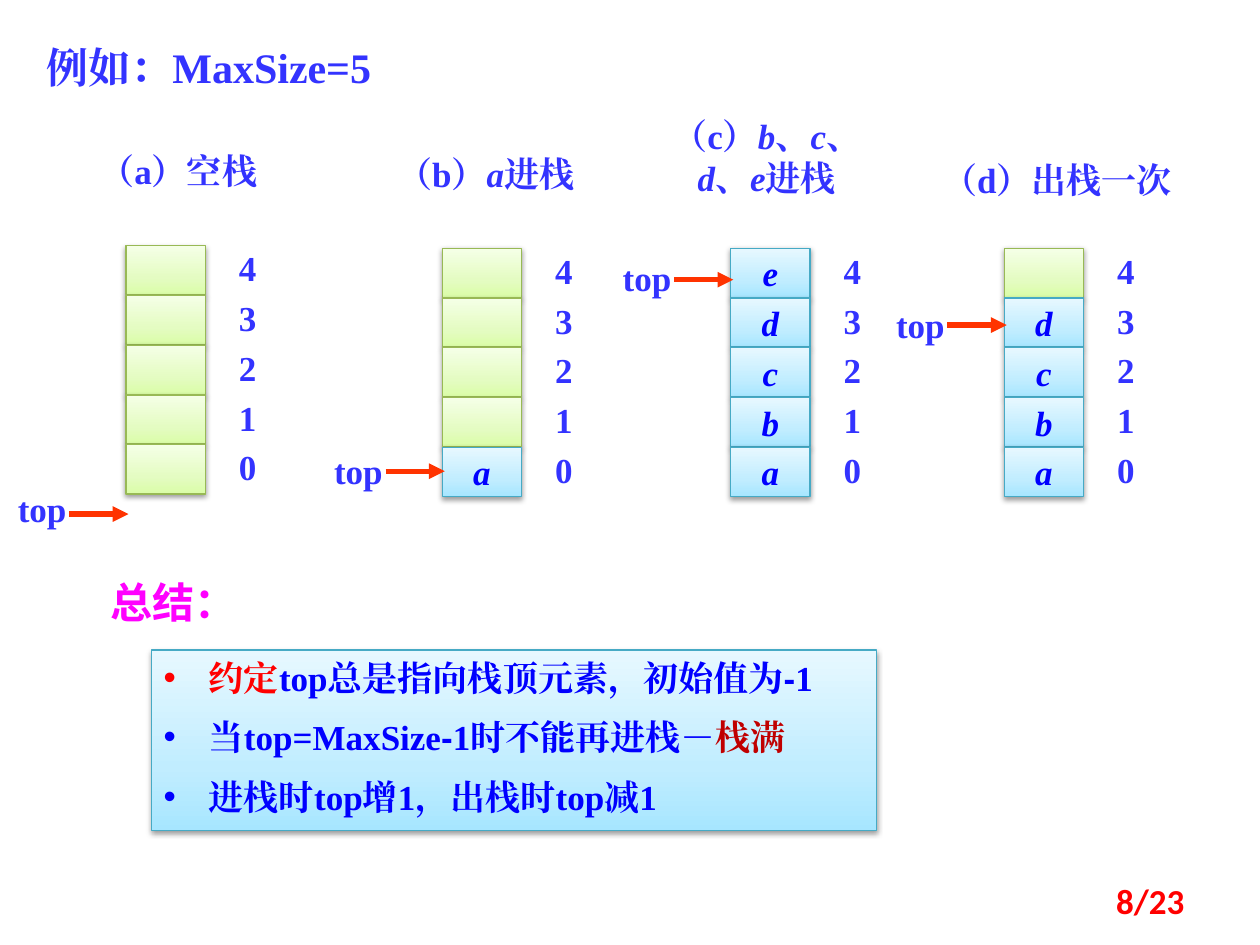
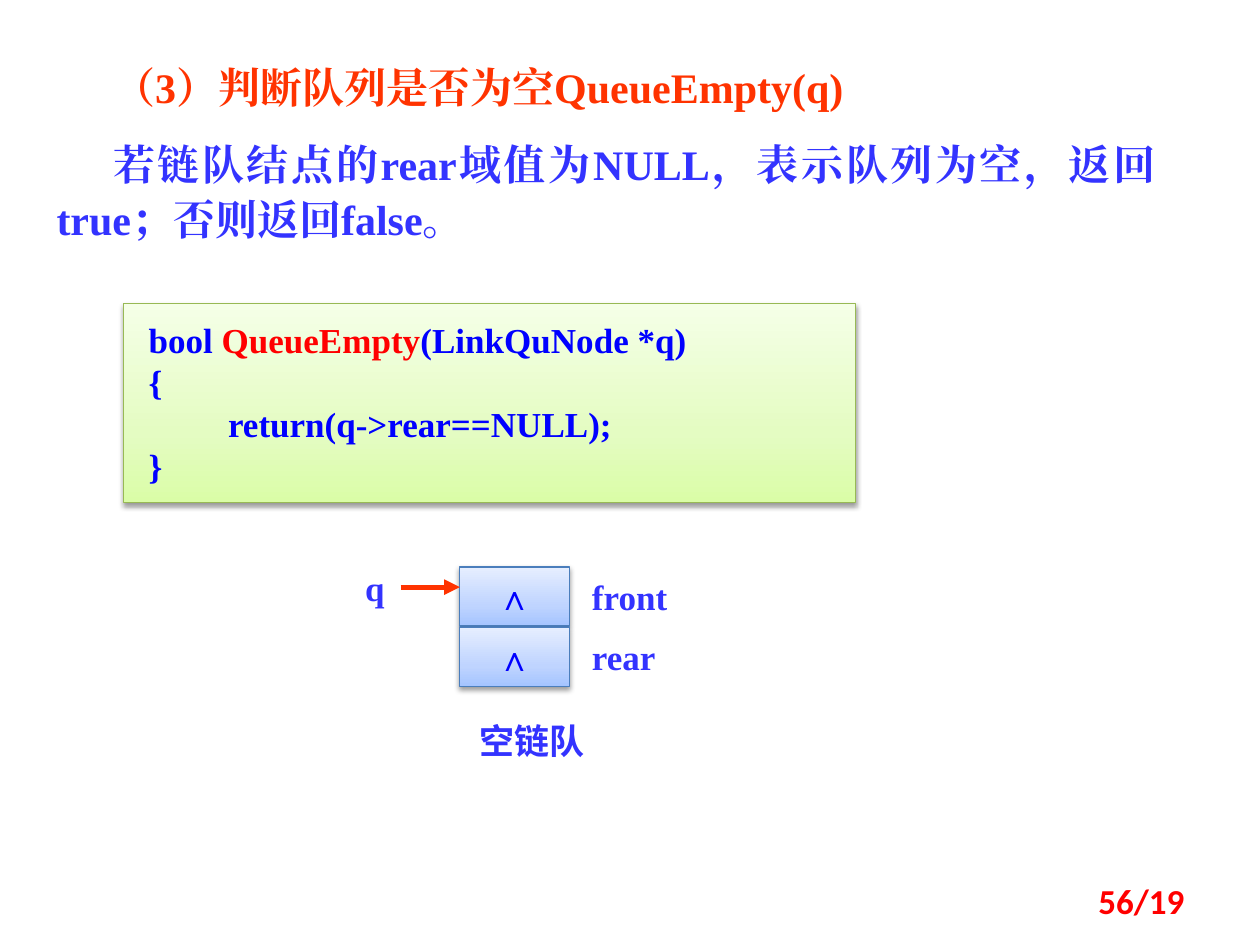
"""Build two lecture slides: stack push and pop states, and the empty linked queue test."""
from dataclasses import dataclass
from typing import NamedTuple

from lxml.etree import SubElement
from pptx import Presentation
from pptx.dml.color import RGBColor
from pptx.enum.shapes import MSO_CONNECTOR as CONN, MSO_SHAPE as SHAPE
from pptx.enum.text import MSO_ANCHOR as ANCHOR, MSO_AUTO_SIZE as AUTO, PP_ALIGN as ALIGN
from pptx.oxml import parse_xml
from pptx.oxml.ns import nsdecls, qn
from pptx.util import Inches, Pt

SERIF, CJK, SANS = "Times New Roman", "Noto Sans CJK SC", "Calibri"
INDIGO, BLUE, RED, ORANGE = "3333FF", "0000FF", "FF0000", "FF3300"
MAGENTA, DARK_RED = "FF00FF", "C00000"
CELL_W, CELL_H, CELL_STEP = 0.63, 0.39, 1.58 / 4


class Tone(NamedTuple):
    """Gradient from bottom to top, and outline of a box."""
    low: str
    mid: str
    high: str
    line: str


GREEN = Tone("DAFDA7", "E4FCC2", "F5FFE7", "98B955")
CYAN = Tone("A7E6FF", "C1EDFF", "E7F8FF", "46AAC5")
SKY = Tone("A4C4FF", "BFD4FF", "E6EEFF", "4B7EBC")


class Box(NamedTuple):
    """Left, top, width and height in inches."""
    x: float
    y: float
    w: float
    h: float


@dataclass
class Run:
    """A piece of text in one style."""
    text: str
    color: str = INDIGO
    size: float = 20
    font: str = SERIF
    italic: bool = False


@dataclass
class Para:
    """A paragraph; lengths are in inches."""
    runs: list[Run]
    align: ALIGN = ALIGN.LEFT
    spaced: bool = True
    line_spacing: float | None = None
    left: float = 0
    indent: float = 0
    bullet: bool = False


@dataclass
class Stack:
    """One stack state; items run from the bottom up."""
    x: float
    y: float
    items: str
    caption: list[Run]
    caption_box: Box
    arrow_y: float
    label_y: float


def rgb(code: str) -> RGBColor:
    """Turn a hex string into a colour."""
    return RGBColor.from_string(code)


def write(shape, paras: list[Para]) -> None:
    """Fill a shape with paragraphs, run by run."""
    tf = shape.text_frame
    for i, para in enumerate(paras):
        p = tf.paragraphs[0] if i == 0 else tf.add_paragraph()
        p.alignment = para.align
        pPr = p._p.get_or_add_pPr()
        pPr.set("marL", str(Inches(para.left)))
        pPr.set("indent", str(Inches(para.indent)))
        if para.spaced:
            before = SubElement(pPr, qn("a:spcBef"))
            SubElement(before, qn("a:spcPct")).set("val", "50000")
        if para.line_spacing:
            p.line_spacing = para.line_spacing
        if para.bullet:
            SubElement(pPr, qn("a:buFont")).set("typeface", "Arial")
            SubElement(pPr, qn("a:buChar")).set("char", "•")
        for run in para.runs:
            r = p.add_run()
            r.text = run.text
            r.font.name, r.font.size = run.font, Pt(run.size)
            r.font.bold, r.font.italic = True, run.italic
            r.font.color.rgb = rgb(run.color)
            ea = CJK if run.font == CJK else SERIF
            SubElement(r._r.get_or_add_rPr(), qn("a:ea")).set("typeface", ea)


def add_text(slide, box: Box, paras: list[Para], grow: bool = True):
    """Add a wrapping text box."""
    sp = slide.shapes.add_textbox(*map(Inches, box))
    sp.text_frame.word_wrap = True
    sp.text_frame.auto_size = AUTO.SHAPE_TO_FIT_TEXT if grow else AUTO.NONE
    write(sp, paras)
    return sp


def add_label(slide, box: Box, *runs: Run) -> None:
    """Add a centred label."""
    add_text(slide, box, [Para(list(runs), ALIGN.CENTER)])


def add_panel(slide, box: Box, tone: Tone):
    """Add a gradient rectangle with a soft shadow."""
    sp = slide.shapes.add_shape(SHAPE.RECTANGLE, *map(Inches, box))
    sp.line.color.rgb = rgb(tone.line)
    sp.line.width = Pt(0.75)
    stops = "".join(
        f'<a:gs pos="{pos}"><a:srgbClr val="{color}"/></a:gs>'
        for pos, color in zip((0, 35000, 100000), tone[:3]))
    ln = sp._element.spPr.find(qn("a:ln"))
    ln.addprevious(parse_xml(
        f'<a:gradFill {nsdecls("a")} rotWithShape="1"><a:gsLst>{stops}</a:gsLst>'
        '<a:lin ang="16200000" scaled="0"/></a:gradFill>'))
    ln.addnext(parse_xml(
        f'<a:effectLst {nsdecls("a")}><a:outerShdw blurRad="{Pt(3.1)}" dist="{Pt(1.6)}" '
        'dir="5400000" rotWithShape="0"><a:srgbClr val="000000">'
        '<a:alpha val="38000"/></a:srgbClr></a:outerShdw></a:effectLst>'))
    return sp


def add_cell(slide, box: Box, tone: Tone, run: Run | None = None) -> None:
    """Add one storage cell with optional content."""
    sp = add_panel(slide, box, tone)
    if run:
        sp.text_frame.word_wrap = False
        sp.text_frame.vertical_anchor = ANCHOR.MIDDLE
        write(sp, [Para([run], ALIGN.CENTER, spaced=False)])


def add_pointer(slide, x: float, y: float) -> None:
    """Add a pointer arrow running right from x."""
    cx = slide.shapes.add_connector(
        CONN.STRAIGHT, Inches(x), Inches(y), Inches(x + 0.47), Inches(y))
    cx.line.color.rgb = rgb(ORANGE)
    cx.line.width = Pt(3)
    SubElement(cx.line._get_or_add_ln(), qn("a:tailEnd")).set("type", "triangle")
    SubElement(cx._element.spPr, qn("a:effectLst"))


def add_page_number(slide, text: str) -> None:
    """Add the page number at the lower right."""
    run = Run(text, RED, font=SANS)
    sp = add_text(slide, Box(7.17, 6.95, 2.33, 0.4),
                  [Para([run], ALIGN.RIGHT, spaced=False)], grow=False)
    sp.text_frame.vertical_anchor = ANCHOR.MIDDLE


def draw_stack(slide, stack: Stack) -> None:
    """Draw cells, indices, top pointer and caption of a stack."""
    for row in range(5):
        index = 4 - row
        y = stack.y + row * CELL_STEP
        used = index < len(stack.items)
        add_cell(slide, Box(stack.x, y, CELL_W, CELL_H), CYAN if used else GREEN,
                 Run(stack.items[index], BLUE, italic=True) if used else None)
        add_label(slide, Box(stack.x + 0.73, y - 0.04, 0.47, 0.43), Run(str(index)))
    add_pointer(slide, stack.x - 0.45, stack.arrow_y)
    add_label(slide, Box(stack.x - 0.98, stack.label_y, 0.63, 0.43), Run("top"))
    add_label(slide, stack.caption_box, *stack.caption)


def var(name: str) -> Run:
    """Make an italic element name."""
    return Run(name, italic=True)


def build_stack_slide(slide) -> None:
    """Show four stack states and the summary."""
    add_text(slide, Box(0.27, 0.28, 3.23, 0.5), [Para([Run("例如：MaxSize=5", size=24)])])
    pushes = [Run("（c）"), var("b")]
    for name in "cde":
        pushes += [Run("、"), var(name)]
    stacks = [
        Stack(1, 1.95, "", [Run("（a）空栈")], Box(0.63, 1.14, 1.57, 0.43), 4.08, 3.82),
        Stack(3.51, 1.97, "a", [Run("（b）"), var("a"), Run("进栈")],
              Box(2.91, 1.16, 1.89, 0.43), 3.74, 3.52),
        Stack(5.8, 1.97, "abcde", pushes + [Run("进栈")],
              Box(5.2, 0.86, 1.77, 0.77), 2.22, 1.99),
        Stack(7.97, 1.97, "abcd", [Run("（d）出栈一次")],
              Box(7.37, 1.21, 2.04, 0.43), 2.58, 2.36),
    ]
    for stack in stacks:
        draw_stack(slide, stack)
    add_text(slide, Box(0.78, 4.53, 1.42, 0.5),
             [Para([Run("总结：", MAGENTA, 24, CJK)])])
    minus = Run("-", BLUE, font="Arial")
    rules = [
        [Run("约定", RED), Run("top总是指向栈顶元素，初始值为", BLUE), minus, Run("1", BLUE)],
        [Run("当top=MaxSize", BLUE), minus, Run("1时不能再进栈－", BLUE), Run("栈满", DARK_RED)],
        [Run("进栈时top增1，出栈时top减1", BLUE)],
    ]
    summary = add_panel(slide, Box(1.2, 5.16, 5.76, 1.43), CYAN)
    summary.text_frame.vertical_anchor = ANCHOR.TOP
    write(summary, [Para(runs, left=0.36, indent=-0.36, bullet=True) for runs in rules])
    add_page_number(slide, "8/23")


def build_queue_slide(slide) -> None:
    """Show the empty test of a linked queue with code and diagram."""
    heading = Run("（3）判断队列是否为空QueueEmpty(q)", ORANGE, 24)
    body = Run("若链队结点的rear域值为NULL，表示队列为空，返回true；否则返回false。", size=24)
    add_text(slide, Box(0.35, 0.52, 8.92, 1.57), [
        Para([heading], ALIGN.JUSTIFY, line_spacing=0.8, indent=0.45),
        Para([body], ALIGN.JUSTIFY, line_spacing=1.1, indent=0.45),
    ])
    code = add_panel(slide, Box(0.98, 2.41, 5.81, 1.58), GREEN)
    tf = code.text_frame
    tf.vertical_anchor = ANCHOR.TOP
    tf.margin_left = tf.margin_right = Inches(0.2)
    tf.margin_top = tf.margin_bottom = Inches(0.12)
    signature = [Run("bool ", BLUE), Run("QueueEmpty", RED), Run("(LinkQuNode *q)", BLUE)]
    write(code, [
        Para(signature, spaced=False),
        Para([Run("{", BLUE)], spaced=False),
        Para([Run("return(q->rear==NULL);", BLUE)], spaced=False, left=0.63),
        Para([Run("}", BLUE)], spaced=False),
    ])
    add_label(slide, Box(3.44, 5.66, 1.57, 0.43), Run("空链队", font=CJK))
    for row in range(2):
        add_cell(slide, Box(3.65, 4.5 + row * 0.48, 0.87, 0.47), SKY, Run("∧", BLUE))
    add_pointer(slide, 3.18, 4.66)
    add_label(slide, Box(2.74, 4.45, 0.47, 0.43), Run("q"))
    add_text(slide, Box(4.6, 4.52, 1.5, 0.93), [Para([Run(name)]) for name in ("front", "rear")])
    add_page_number(slide, "56/19")


def main() -> None:
    """Build and save the presentation."""
    prs = Presentation()
    prs.slide_width, prs.slide_height = Inches(10), Inches(7.5)
    for build in (build_stack_slide, build_queue_slide):
        build(prs.slides.add_slide(prs.slide_layouts[6]))
    prs.save("out.pptx")


main()
